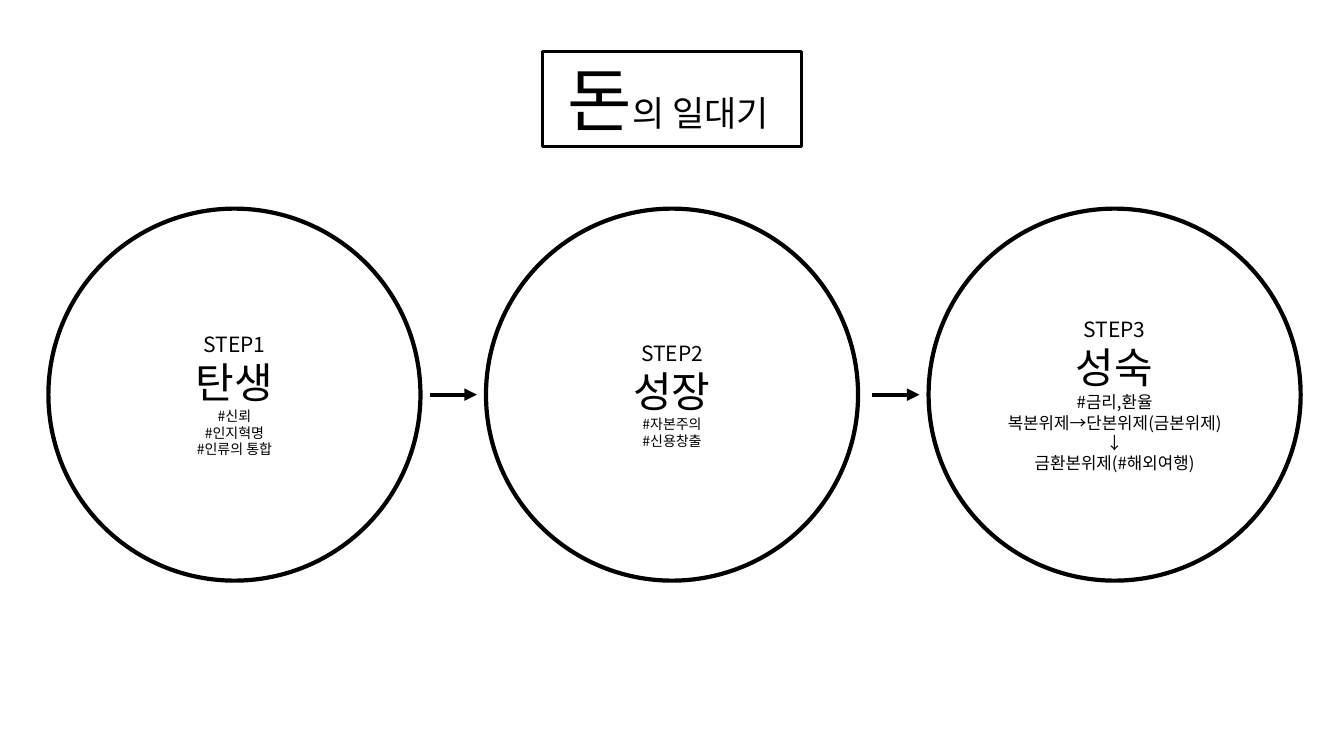
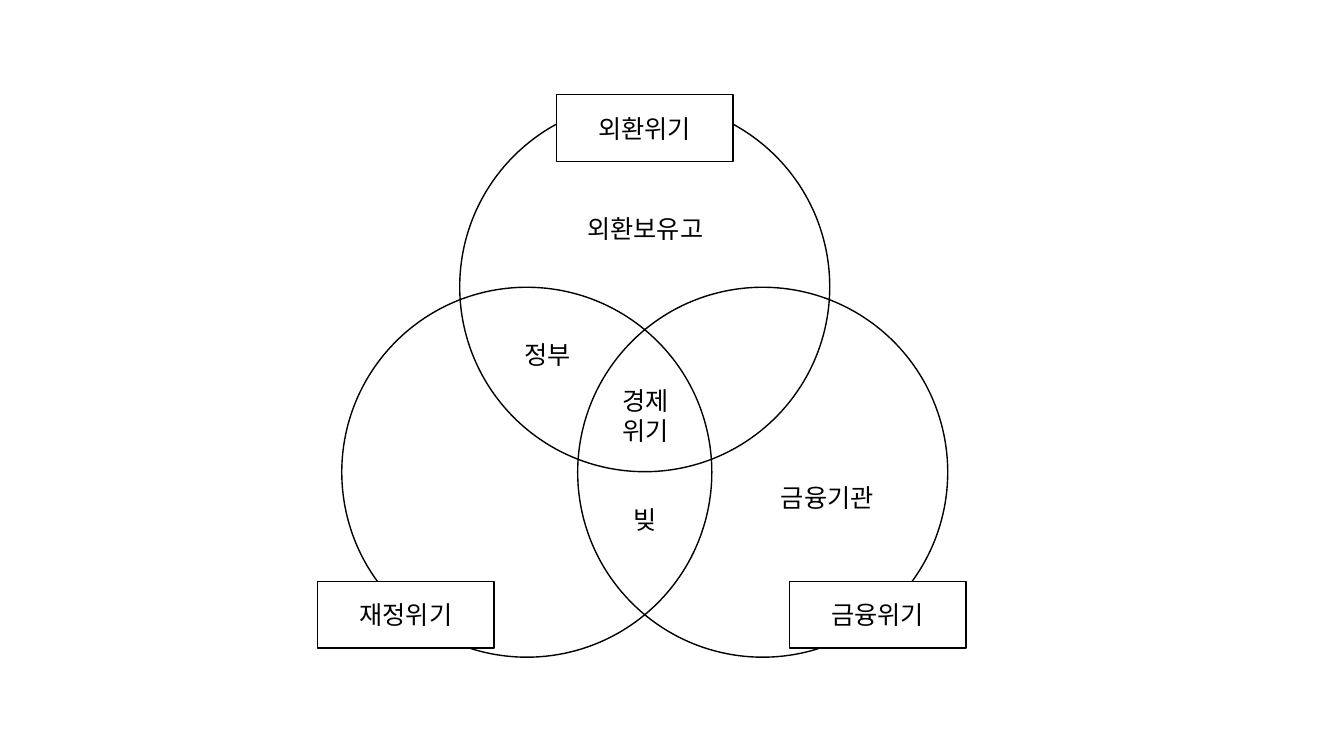
from dataclasses import dataclass

from lxml import etree
from pptx import Presentation
from pptx.dml.color import RGBColor
from pptx.enum.shapes import MSO_CONNECTOR as Connector, MSO_SHAPE as Shape
from pptx.enum.text import MSO_ANCHOR as Anchor, MSO_AUTO_SIZE as AutoSize, PP_ALIGN as Align
from pptx.oxml.ns import qn
from pptx.util import Inches, Pt


@dataclass(frozen=True)
class Theme:
    font: str = "Noto Sans CJK KR"
    ink: RGBColor = RGBColor(0, 0, 0)
    paper: RGBColor = RGBColor(255, 255, 255)
    title_large: float = 50
    title_small: float = 25
    step: float = 15
    stage: float = 30
    label: float = 18
    thick: float = 3
    frame: float = 2.25
    thin: float = 1


THEME = Theme()
TITLE_ONLY, BLANK = 5, 6


# Shared text, outline and shape styles
def add_run(paragraph, text, size):
    run = paragraph.add_run()
    run.text = text
    for name, value in {"name": THEME.font, "size": Pt(size)}.items():
        setattr(run.font, name, value)
    run.font.color.rgb = THEME.ink
    east_asian = etree.SubElement(run.font._element, qn("a:ea"))
    east_asian.set("typeface", THEME.font)


def write_lines(shape, lines):
    """Each line is a list of (text, size) runs."""
    frame = shape.text_frame
    settings = {"word_wrap": True, "auto_size": AutoSize.NONE,
                "vertical_anchor": Anchor.MIDDLE}
    for name, value in settings.items():
        setattr(frame, name, value)
    for index, runs in enumerate(lines):
        paragraph = frame.add_paragraph() if index else frame.paragraphs[0]
        paragraph.alignment = Align.CENTER
        for text, size in runs:
            add_run(paragraph, text, size)


def outline(shape, width):
    shape.line.color.rgb = THEME.ink
    shape.line.width = Pt(width)


def add_box(slide, kind, box, line=None, filled=False, lines=()):
    shape = slide.shapes.add_shape(kind, *map(Inches, box))
    shape.shadow.inherit = False
    if filled:
        shape.fill.solid()
        shape.fill.fore_color.rgb = THEME.paper
    else:
        shape.fill.background()
    if line:
        outline(shape, line)
    else:
        shape.line.fill.background()
    write_lines(shape, lines)
    return shape


def add_arrow(slide, left, middle, length):
    points = (left, middle, left + length, middle)
    arrow = slide.shapes.add_connector(Connector.STRAIGHT, *map(Inches, points))
    outline(arrow, THEME.thick)
    etree.SubElement(arrow.line._get_or_add_ln(), qn("a:tailEnd")).set("type", "triangle")
    etree.SubElement(arrow._element.spPr, qn("a:effectLst"))


# Framed slide title
def place_title(slide, box, runs):
    title = slide.shapes.title
    for name, value in zip(("left", "top", "width", "height"), box):
        setattr(title, name, Inches(value))
    outline(title, THEME.frame)
    write_lines(title, [runs])


# Row of stages, with an arrow leading into each later one
def stage_row(slide, top, size, stages):
    arrow_length, arrow_gap = 0.47, 0.09
    for number, (left, name, note_size, notes) in enumerate(stages, 1):
        lines = [[(f"STEP{number}", THEME.step)], [(name, THEME.stage)]]
        lines += [[(note, note_size)] for note in notes]
        add_box(slide, Shape.OVAL, (left, top, size, size), THEME.thick, lines=lines)
        if number > 1:
            add_arrow(slide, left - arrow_gap - arrow_length, top + size / 2, arrow_length)


# Three overlapping circles with framed names and inner labels
def venn_diagram(slide, left, top, size):
    step_x, step_y = 1.17, 1.84
    for x, y in ((step_x, 0), (0, step_y), (2 * step_x, step_y)):
        add_box(slide, Shape.OVAL, (left + x, top + y, size, size), THEME.thin)

    names = (("외환위기", 2.13, -0.07), ("재정위기", -0.24, 4.76), ("금융위기", 4.44, 4.76))
    for text, x, y in names:
        add_box(slide, Shape.RECTANGLE, (left + x, top + y, 1.75, 0.66), THEME.thin,
                filled=True, lines=[[(text, THEME.label)]])

    labels = (
        (["정부"], 1.63, 2.28, 0.83, 0.46),
        (["빚"], 2.59, 3.91, 0.83, 0.46),
        (["경제", "위기"], 2.64, 2.76, 0.74, 0.7),
        (["금융기관"], 4.15, 3.7, 1.33, 0.46),
        (["외환보유고"], 2.24, 1.03, 1.54, 0.46),
    )
    for texts, x, y, width, height in labels:
        add_box(slide, Shape.RECTANGLE, (left + x, top + y, width, height), filled=True,
                lines=[[(text, THEME.label)] for text in texts])


def add_slide(presentation, layout):
    return presentation.slides.add_slide(presentation.slide_layouts[layout])


def main():
    presentation = Presentation()
    presentation.slide_width, presentation.slide_height = Inches(13.33), Inches(7.5)

    # Life story of money
    slide = add_slide(presentation, TITLE_ONLY)
    place_title(slide, (5.38, 0.51, 2.57, 0.94),
                [("돈", THEME.title_large), ("의 일대기 ", THEME.title_small)])
    stage_row(slide, 2.07, 3.69, (
        (0.48, "탄생", 10, ("#신뢰", "#인지혁명", "#인류의 통합")),
        (4.82, "성장", 10, ("#자본주의", "#신용창출")),
        (9.21, "성숙", 12, ("#금리,환율", "복본위제→단본위제(금본위제)", "↓",
                          "금환본위제(#해외여행)")),
    ))

    # Overlapping crises
    venn_diagram(add_slide(presentation, BLANK), 3.39, 1.01, 3.67)

    presentation.save("out.pptx")


if __name__ == "__main__":
    main()
